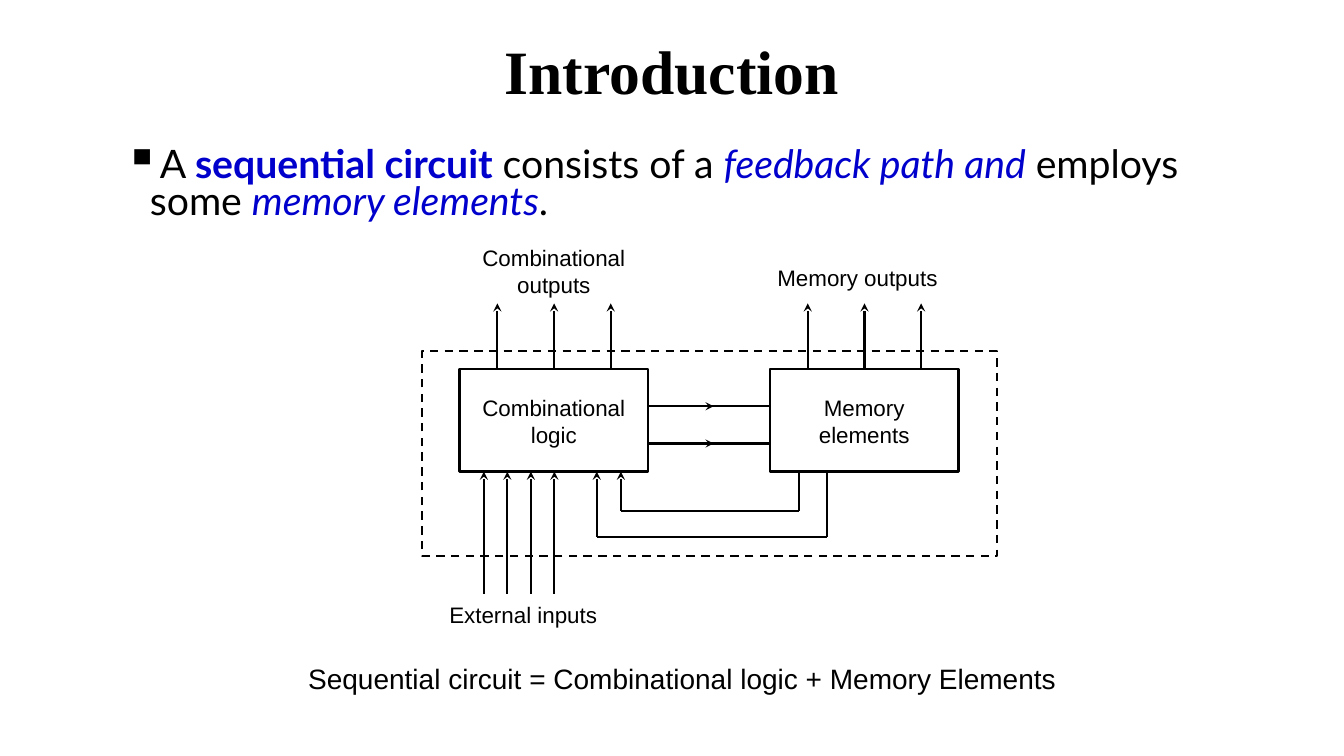
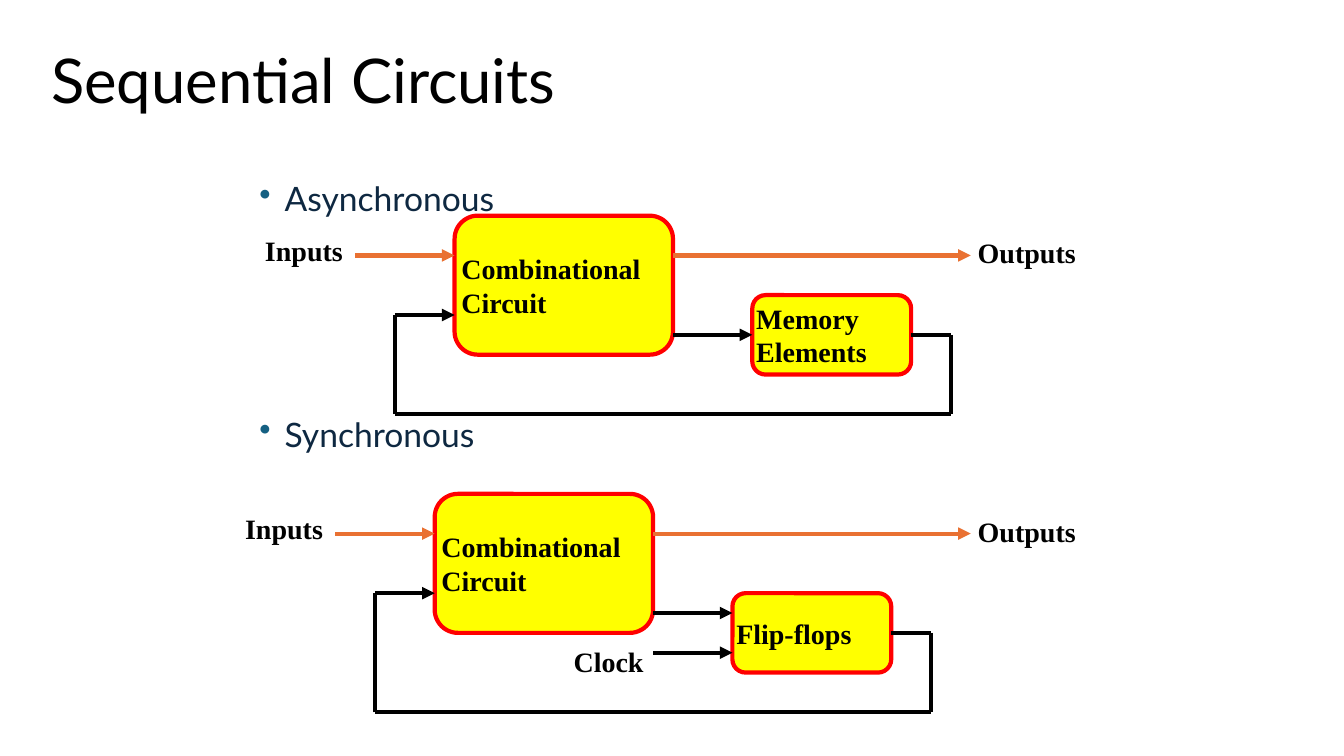
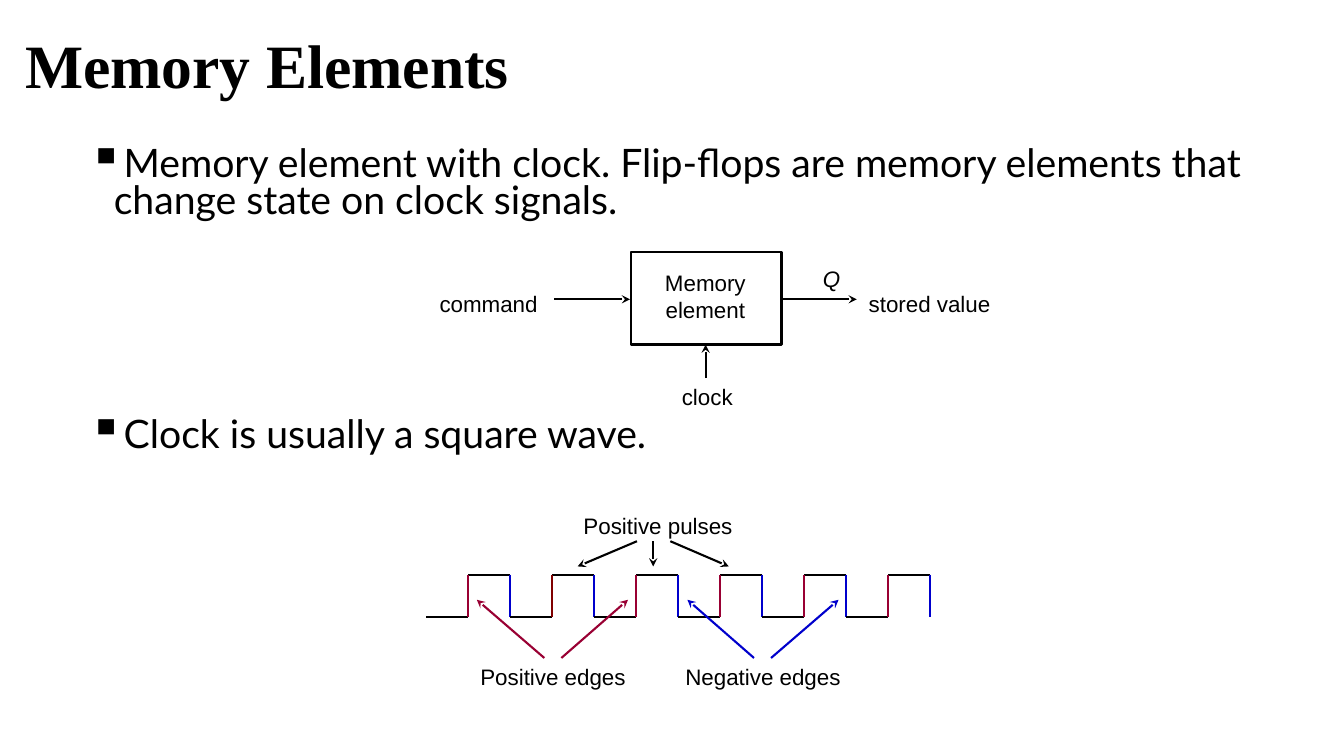
"""Three slides on sequential circuits: introduction, circuit types and memory elements."""
import pptx
import pptx.util
import pptx.dml.color
import pptx.enum.dml
import pptx.enum.shapes
import pptx.enum.text
import pptx.oxml.ns
from lxml import etree

Pt = pptx.util.Pt
qn = pptx.oxml.ns.qn
SHAPE = pptx.enum.shapes.MSO_SHAPE
ALIGN = pptx.enum.text.PP_ALIGN
ANCHOR = pptx.enum.text.MSO_ANCHOR

COLORS = {"black": "000000", "blue": "0000CC", "crimson": "990033", "maroon": "800000",
          "orange": "E97132", "yellow": "FFFF00", "red": "FF0000",
          "navy": "0E2841", "teal": "156082"}

SERIF_TITLE = {"name": "Times New Roman", "size": Pt(44), "bold": True}
SANS_TITLE = {"name": "Lato", "size": Pt(44)}
BODY = {"name": "Lato", "size": Pt(28)}
TOPIC = {"name": "Lato", "size": Pt(24), "color": "navy"}
LABEL = {"name": "Arial", "size": Pt(16)}
SUMMARY = {"name": "Arial", "size": Pt(20)}
BLOCK = {"name": "Times New Roman", "size": Pt(20), "bold": True}

KEY = {"bold": True, "color": "blue"}
TERM = {"italic": True, "color": "blue"}
INTRO = [("A ", {}), ("sequential circuit", KEY), (" consists of a ", {}),
         ("feedback path and", TERM), (" employs some ", {}), ("memory elements", TERM), (".", {})]
CLOCKED = ["Memory element with clock. Flip-flops are memory elements that "
           "change state on clock signals.", "Clock is usually a square wave."]
TOPICS = ["Asynchronous", "Synchronous"]

INTRO_LABELS = [("Combinational logic", (328.3, 278, 134.6, 54)),
                ("Memory elements", (550, 278, 134.6, 54)),
                ("Combinational outputs", (328.3, 171, 134.6, 54)),
                ("Memory outputs", (535, 185.4, 155, 32)),
                ("External inputs", (299.7, 425.8, 148, 32))]
MEMORY_LABELS = [("command", (298, 203.4, 102, 29)), ("Memory element", (455.8, 189, 96, 48)),
                 ("stored value", (610, 203.4, 108, 29)), ("clock", (478.2, 270, 54, 27)),
                 ("Positive edges", (335, 470, 120, 27)), ("Negative edges", (479, 470, 132, 27)),
                 ("Positive pulses", (407, 362, 126, 27))]

CIRCUITS = [
    {"at": (324.7, 154.1), "store": "Memory\nElements", "drop": 0, "clock": False},
    {"at": (310.5, 352.8), "store": "Flip-flops", "drop": 1, "clock": True},
]
UNIT = 14.18
OUTPUT_END = 693.4

POINTERS = [((455, 386.6), (412.6, 404.6), "black"), ((466.6, 386.6), (466.6, 404.6), "black"),
            ((478.8, 386.6), (520.6, 404.6), "black"),
            ((388.8, 470), (340.6, 428.4), "crimson"), ((401, 470), (448.6, 428.4), "crimson"),
            ((550.8, 470), (599, 428.4), "blue"), ((538.6, 470), (491, 428.4), "blue")]
RISES = ["crimson", "maroon", "crimson", "crimson", "crimson", "crimson"]


def rgb(name):
    return pptx.dml.color.RGBColor.from_string(COLORS[name])


def put(obj, values):
    for key, value in values.items():
        setattr(obj, key, value)


def write(tf, paras, font, para=None, frame=None):
    put(tf, {"word_wrap": True, **(frame or {})})
    for i, runs in enumerate(paras):
        p = tf.paragraphs[0] if i == 0 else tf.add_paragraph()
        put(p, para or {})
        for text, extra in [(runs, {})] if isinstance(runs, str) else runs:
            r = p.add_run()
            r.text = text
            style = {"color": "black", **font, **extra}
            r.font.color.rgb = rgb(style.pop("color"))
            put(r.font, style)


def text(s, box, paras, font, para=None, frame=None):
    sp = s.shapes.add_textbox(*map(Pt, box))
    write(sp.text_frame, paras, font, para, frame)
    return sp.text_frame


def title(s, box, words, font, align=ALIGN.LEFT):
    text(s, box, [words], font, {"line_spacing": 0.9, "alignment": align},
         {"vertical_anchor": ANCHOR.MIDDLE})


def indent(p, left, hang, char=None, size=None, color=None):
    pPr = p._p.get_or_add_pPr()
    pPr.set("marL", str(Pt(left)))
    pPr.set("indent", str(-Pt(hang)))
    if color:
        clr = etree.SubElement(pPr, qn("a:buClr"))
        etree.SubElement(clr, qn("a:srgbClr"), val=COLORS[color])
    if size:
        etree.SubElement(pPr, qn("a:buSzPct"), val=str(size * 1000))
    if char:
        etree.SubElement(pPr, qn("a:buChar"), char=char)


def body(s, box, paras):
    tf = text(s, box, paras, BODY, {"line_spacing": 0.8, "space_before": Pt(10)})
    for p in tf.paragraphs:
        indent(p, 18, 18, "▪", 120)
    return tf


def labels(s, items):
    for words, box in items:
        text(s, box, [words], LABEL, {"alignment": ALIGN.CENTER})


def block(s, kind, box, line="black", width=2, fill=None, dash=None):
    sp = s.shapes.add_shape(kind, *map(Pt, box))
    sp.shadow.inherit = False
    sp.line.color.rgb = rgb(line)
    put(sp.line, {"width": Pt(width), "dash_style": dash})
    if fill:
        sp.fill.solid()
        sp.fill.fore_color.rgb = rgb(fill)
    else:
        sp.fill.background()
    return sp


def route(s, points, color="black", width=1.5, head=None):
    for i, (a, b) in enumerate(zip(points, points[1:]), 2):
        c = s.shapes.add_connector(pptx.enum.shapes.MSO_CONNECTOR.STRAIGHT, *map(Pt, a + b))
        c.line.color.rgb = rgb(color)
        c.line.width = Pt(width)
        if head and i == len(points):
            etree.SubElement(c.line._get_or_add_ln(), qn("a:tailEnd"), type=head)
        etree.SubElement(c._element.spPr, qn("a:effectLst"))


def introduction(s):
    title(s, (322, 23, 316, 60), "Introduction", SERIF_TITLE, ALIGN.CENTER)
    body(s, (82, 102.2, 802, 66), [INTRO])
    logic, memory, top, w, h = 328.3, 550, 263.5, 134.6, 73.4
    bottom = top + h
    for x in (logic, memory):
        block(s, SHAPE.RECTANGLE, (x, top, w, h))
        for i in range(3):
            out = x + 27 + 40.5 * i
            route(s, [(out, top), (out, 216.7)], head="stealth")
    for y in (290.2, 316.8):
        route(s, [(logic + w, y), (memory, y)])
        route(s, [(logic + w, y), (509.8, y)], head="stealth")
    for i in range(4):
        x = 345.6 + 16.8 * i
        route(s, [(x, 424), (x, bottom)], head="stealth")
    for start, low, end in ((570.8, 365, 443.5), (590.4, 383.5, 426.3)):
        route(s, [(start, bottom), (start, low), (end, low), (end, bottom)], head="stealth")
    block(s, SHAPE.RECTANGLE, (301.7, 250.6, 410.4, 146.9), width=1.5,
          dash=pptx.enum.dml.MSO_LINE.DASH)
    labels(s, INTRO_LABELS)
    tf = text(s, (213, 468.7, 552, 30),
              ["Sequential circuit = Combinational logic + Memory Elements"],
              SUMMARY, {"space_before": Pt(4)})
    indent(tf.paragraphs[0], 27, 27)


def circuit(s, at, store, drop, clock):
    x0, y0 = at
    flush = {f"margin_{side}": 0 for side in ("left", "right", "top", "bottom")}

    def grid(col, row):
        return x0 + col * UNIT, y0 + row * UNIT

    def tag(x, y, words):
        text(s, (x, y, 80, 24), [words], BLOCK, frame=flush)

    for words, col, row, w, h in (("Combinational\nCircuit", 0, 0, 11, 7),
                                  (store, 15, 4 + drop, 8, 4)):
        sp = block(s, SHAPE.ROUNDED_RECTANGLE, (*grid(col, row), w * UNIT, h * UNIT),
                   "red", 3, "yellow")
        write(sp.text_frame, words.split("\n"), BLOCK, {"alignment": ALIGN.LEFT},
              {"vertical_anchor": ANCHOR.MIDDLE, **flush})
    middle, low = 6 + drop, 10 + drop
    route(s, [grid(-5, 2), grid(0, 2)], "orange", 3, "triangle")
    route(s, [grid(11, 2), (OUTPUT_END, grid(0, 2)[1])], "orange", 3, "triangle")
    route(s, [grid(11, 6), grid(15, 6)], width=3, head="triangle")
    route(s, [grid(23, middle), grid(25, middle), grid(25, low), grid(-3, low),
              grid(-3, 5), grid(0, 5)], width=3, head="triangle")
    tag(x0 - 135.4, y0 + 12.6, "Inputs")
    tag(OUTPUT_END + 5, y0 + 14.4, "Outputs")
    if clock:
        route(s, [grid(11, 8), grid(15, 8)], width=3, head="triangle")
        tag(x0 + 99.2, y0 + 107.3, "Clock")


def circuit_types(s):
    title(s, (29.5, 7.2, 828, 104.4), "Sequential Circuits", SANS_TITLE)
    for parts in CIRCUITS:
        circuit(s, **parts)
    tf = text(s, (169.2, 123.8, 652, 240), TOPICS, TOPIC, {"space_before": Pt(4.8)})
    for p in tf.paragraphs:
        indent(p, 27, 18, "•", color="teal")
    tf.paragraphs[1].space_before = Pt(139.2)


def memory_elements(s):
    title(s, (10.8, -3.6, 828, 104.4), "Memory Elements", SERIF_TITLE)
    body(s, (56.2, 101.5, 854, 257.8), CLOCKED).paragraphs[1].space_before = Pt(140)
    block(s, SHAPE.RECTANGLE, (450.7, 180, 107.3, 66.2))
    for points in ([(396, 213.8), (450, 213.8)], [(558, 213.8), (612, 213.8)],
                   [(504, 270), (504, 246.2)]):
        route(s, points, head="stealth")
    labels(s, MEMORY_LABELS)
    text(s, (576, 185.8, 36, 27), ["Q"], {**LABEL, "italic": True}, {"alignment": ALIGN.CENTER})
    left, step, high, low = 304.6, 30, 410.4, 440.6
    for i, rise in enumerate(RISES):
        a, b, c = (left + step * (2 * i + k) for k in range(3))
        route(s, [(a, low), (b, low)])
        route(s, [(b, high), (c, high)])
        route(s, [(b, high), (b, low)], rise)
        route(s, [(c, high), (c, low)], "blue")
    for start, end, color in POINTERS:
        route(s, [start, end], color, head="stealth")


def main():
    prs = pptx.Presentation()
    put(prs, {"slide_width": Pt(960), "slide_height": Pt(540)})
    for build in (introduction, circuit_types, memory_elements):
        build(prs.slides.add_slide(prs.slide_layouts[6]))
    prs.save("out.pptx")


if __name__ == "__main__":
    main()
